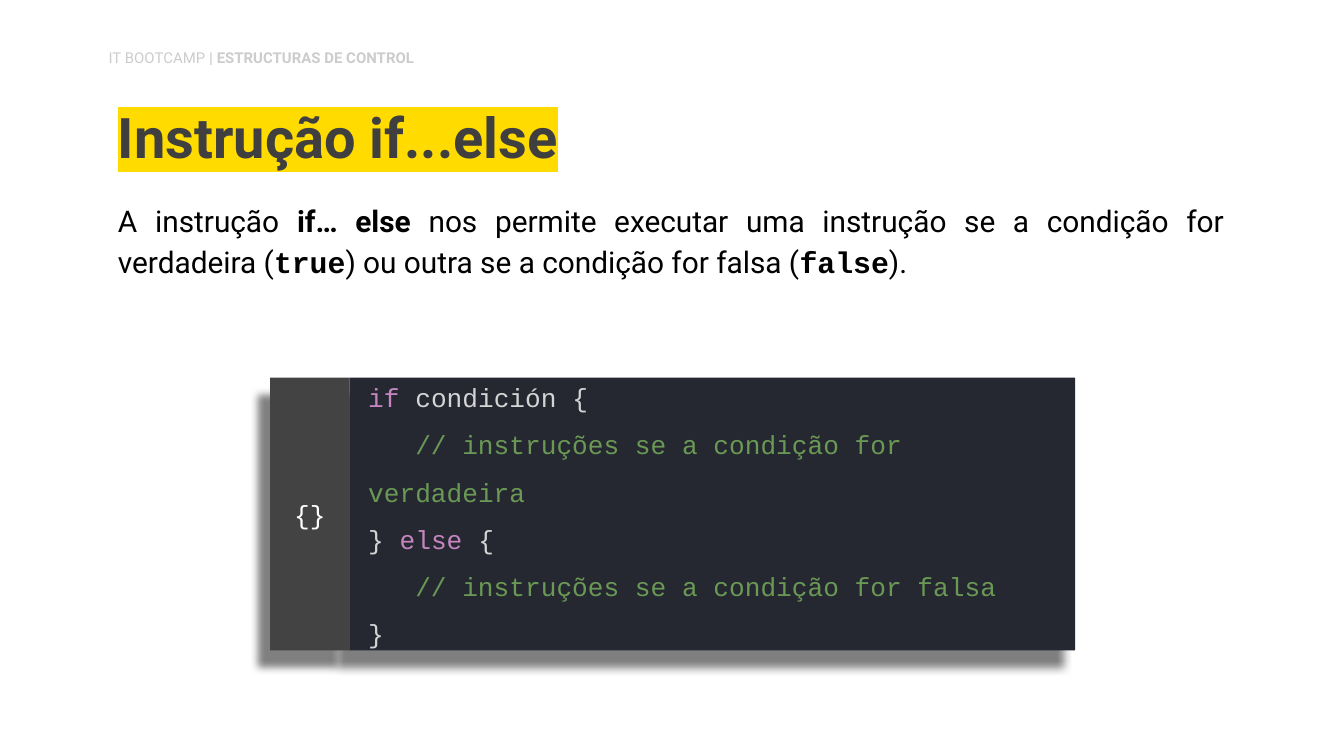
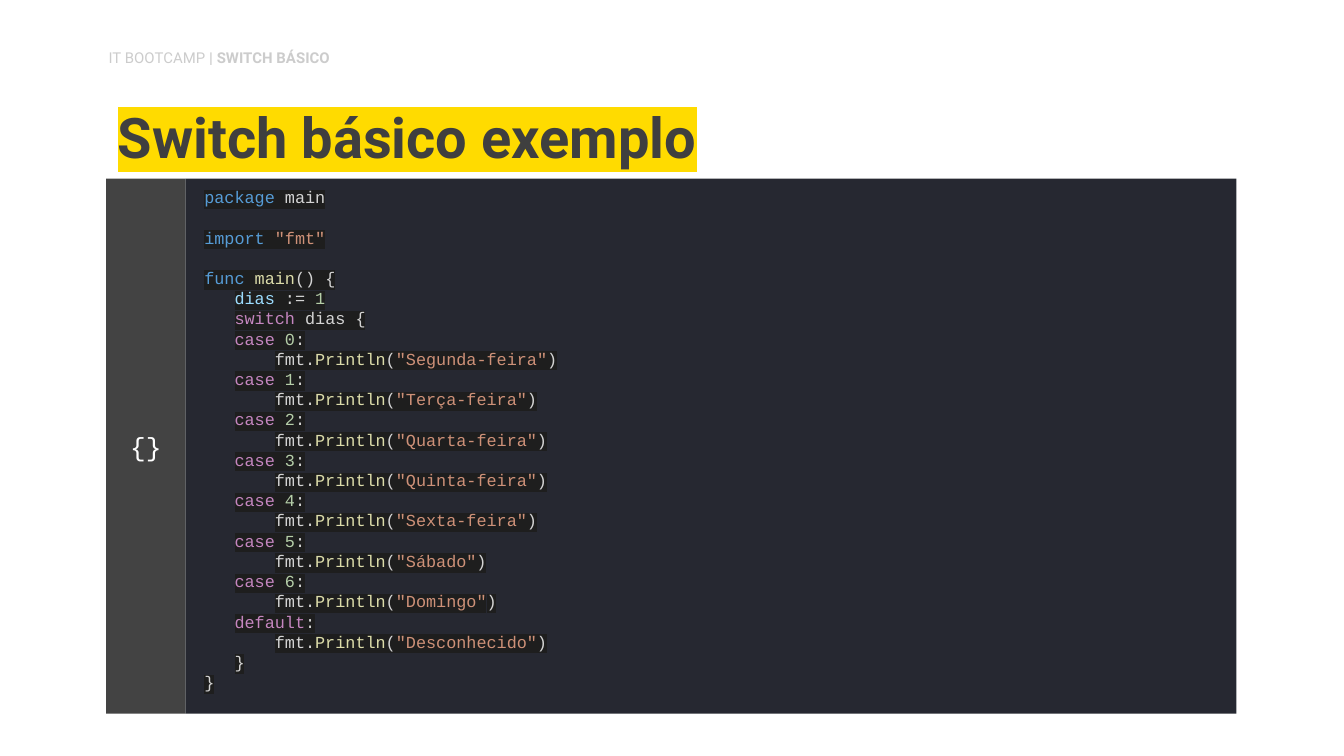
from dataclasses import dataclass

from lxml import etree
from pptx import Presentation
from pptx.dml.color import RGBColor
from pptx.enum.shapes import MSO_SHAPE
from pptx.enum.text import MSO_ANCHOR, PP_ALIGN
from pptx.oxml.ns import qn
from pptx.util import Inches, Pt

RECTANGLE = MSO_SHAPE.RECTANGLE
TOP, MIDDLE, BOTTOM = MSO_ANCHOR.TOP, MSO_ANCHOR.MIDDLE, MSO_ANCHOR.BOTTOM
LEFT, CENTER, JUSTIFY = PP_ALIGN.LEFT, PP_ALIGN.CENTER, PP_ALIGN.JUSTIFY

SLIDE_WIDTH = Inches(10)
SLIDE_HEIGHT = SLIDE_WIDTH * 9 // 16
SANS, MONO = "Roboto", "Courier New"
COLORS = {
    "header": "CCCCCC",
    "title": "3F3F3F",
    "title_band": "FFDB00",
    "body": "000000",
    "panel": "262831",
    "tab": "434343",
    "tab_text": "FFFFFF",
    "code_band": "1E1E1E",
    "shadow": "000000",
    "plain": "D4D4D4",
    "control": "C586C0",
    "comment": "6A9955",
    "keyword": "569CD6",
    "string": "CE9178",
    "function": "DCDCAA",
    "variable": "9CDCFE",
    "number": "B5CEA8",
}
TAB_WIDTH = 0.59
CHARACTER_RATIO = 0.6  # advance width of the code font, in ems
LINE_RATIO = 1.2  # height of a single code line, in ems
WEEKDAYS = (
    "Segunda-feira", "Terça-feira", "Quarta-feira", "Quinta-feira",
    "Sexta-feira", "Sábado", "Domingo",
)


@dataclass(frozen=True)
class Box:
    left: float
    top: float
    width: float
    height: float

    def lengths(self) -> list[Inches]:
        return [Inches(v) for v in (self.left, self.top, self.width, self.height)]


@dataclass(frozen=True)
class CodeLine:
    """Tokens are (text, colour name) pairs; indent counts characters."""
    tokens: tuple
    indent: int = 0
    gap_lines: int = 0


@dataclass(frozen=True)
class CodePanel:
    box: Box
    lines: list
    size: float
    line_spacing: float = 1.0
    highlight: str | None = None
    shadow: bool = False


def write_run(paragraph, text: str, *, size: float, color: str, font: str = SANS,
              bold: bool = False, highlight: str | None = None) -> None:
    run = paragraph.add_run()
    run.text = text
    run.font.size = Pt(size)
    run.font.name = font
    run.font.bold = bold
    run.font.color.rgb = RGBColor.from_string(COLORS[color])
    if highlight:
        band = etree.Element(qn("a:highlight"))
        etree.SubElement(band, qn("a:srgbClr"), val=COLORS[highlight])
        run.font._element.find(qn("a:solidFill")).addnext(band)


def prepare_frame(shape, anchor, insets=(0.1, 0.1, 0.1, 0.1)):
    frame = shape.text_frame
    frame.word_wrap = True
    frame.vertical_anchor = anchor
    (frame.margin_left, frame.margin_top,
     frame.margin_right, frame.margin_bottom) = map(Inches, insets)
    return frame


def add_text_box(slide, box: Box, anchor=TOP, insets=(0.1, 0.1, 0.1, 0.1)):
    """Add a text box and return its first paragraph."""
    shape = slide.shapes.add_textbox(*box.lengths())
    return prepare_frame(shape, anchor, insets).paragraphs[0]


def add_rectangle(shapes, box: Box, color: str, shadow: bool):
    shape = shapes.add_shape(RECTANGLE, *box.lengths())
    shape.fill.solid()
    shape.fill.fore_color.rgb = RGBColor.from_string(COLORS[color])
    shape.line.fill.background()
    shape.shadow.inherit = False
    if shadow:
        effects = shape._element.spPr.find(qn("a:effectLst"))
        outer = etree.SubElement(
            effects, qn("a:outerShdw"), blurRad=str(Pt(4.5)), dist=str(Pt(11.2)),
            dir=str(125 * 60000), algn="bl", rotWithShape="0")
        tint = etree.SubElement(outer, qn("a:srgbClr"), val=COLORS["shadow"])
        etree.SubElement(tint, qn("a:alpha"), val="50000")
    return shape


def add_header_and_title(slide, section: str, title: str) -> None:
    heading = add_text_box(slide, Box(0.78, 0.68, 8.43, 0.69), BOTTOM)
    heading.line_spacing = 0.9
    write_run(heading, title, size=30, color="title", bold=True,
              highlight="title_band")

    header = add_text_box(slide, Box(0.71, 0.31, 3.14, 0.27),
                          insets=(0.1, 0.05, 0.1, 0.05))
    header.space_after = Pt(12)
    write_run(header, "IT BOOTCAMP", size=8, color="header")
    write_run(header, f" | {section}", size=8, color="header", bold=True)


def add_code_panel(slide, panel: CodePanel) -> None:
    group = slide.shapes.add_group_shape()
    box = panel.box
    code_box = Box(box.left + TAB_WIDTH, box.top, box.width - TAB_WIDTH, box.height)
    code = add_rectangle(group.shapes, code_box, "panel", panel.shadow)
    frame = prepare_frame(code, MIDDLE, (0.14, 0, 0.1, 0.1))
    for index, line in enumerate(panel.lines):
        paragraph = frame.add_paragraph() if index else frame.paragraphs[0]
        paragraph.alignment = LEFT
        paragraph.line_spacing = panel.line_spacing
        if line.gap_lines:
            paragraph.space_before = Pt(line.gap_lines * panel.size * LINE_RATIO)
        if line.indent:
            properties = paragraph._p.get_or_add_pPr()
            properties.set("marL", "0")
            properties.set("indent", str(Pt(line.indent * panel.size * CHARACTER_RATIO)))
        for text, color in line.tokens:
            write_run(paragraph, text, size=panel.size, color=color, font=MONO,
                      highlight=panel.highlight)

    tab_box = Box(box.left, box.top, TAB_WIDTH, box.height)
    tab = add_rectangle(group.shapes, tab_box, "tab", panel.shadow)
    label = prepare_frame(tab, MIDDLE).paragraphs[0]
    label.alignment = CENTER
    write_run(label, "{}", size=14, color="tab_text", font=MONO)


def print_line(text: str) -> CodeLine:
    return CodeLine((("fmt.", "plain"), ("Println", "function"), ("(", "plain"),
                     (f'"{text}"', "string"), (")", "plain")), indent=7)


def switch_code() -> list[CodeLine]:
    lines = [
        CodeLine((("package", "keyword"), (" main", "plain"))),
        CodeLine((("import", "keyword"), (" ", "plain"), ('"fmt"', "string")),
                 gap_lines=1),
        CodeLine((("func", "keyword"), (" ", "plain"), ("main", "function"),
                  ("() {", "plain")), gap_lines=1),
        CodeLine((("dias", "variable"), (" := ", "plain"), ("1", "number")), indent=3),
        CodeLine((("switch", "control"), (" dias {", "plain")), indent=3),
    ]
    for number, weekday in enumerate(WEEKDAYS):
        lines.append(CodeLine((("case", "control"), (" ", "plain"),
                               (str(number), "number"), (":", "plain")), indent=3))
        lines.append(print_line(weekday))
    return lines + [
        CodeLine((("default", "control"), (":", "plain")), indent=3),
        print_line("Desconhecido"),
        CodeLine((("}", "plain"),), indent=3),
        CodeLine((("}", "plain"),)),
    ]


def build_if_else_slide(slide) -> None:
    body = add_text_box(slide, Box(0.78, 1.37, 8.43, 1.08))
    body.alignment = JUSTIFY
    body.line_spacing = 1.15
    for text, font, bold in (
        ("A instrução ", SANS, False),
        ("if… else", SANS, True),
        (" nos permite executar uma instrução se a condição for verdadeira (",
         SANS, False),
        ("true", MONO, True),
        (") ou outra se a condição for falsa (", SANS, False),
        ("false", MONO, True),
        (").", SANS, False),
    ):
        write_run(body, text, size=16, color="body", font=font, bold=bold)

    add_header_and_title(slide, "ESTRUCTURAS DE CONTROL", "Instrução if...else")
    lines = [
        CodeLine((("if", "control"), (" condición {", "plain"))),
        CodeLine((("// instruções se a condição for verdadeira", "comment"),), indent=3),
        CodeLine((("} ", "plain"), ("else", "control"), (" {", "plain"))),
        CodeLine((("// instruções se a condição for falsa", "comment"),), indent=3),
        CodeLine((("}", "plain"),)),
    ]
    add_code_panel(slide, CodePanel(Box(2.01, 2.81, 5.99, 2.03), lines, size=14,
                                    line_spacing=1.5, shadow=True))


def build_switch_slide(slide) -> None:
    add_header_and_title(slide, "SWITCH BÁSICO", "Switch básico exemplo")
    add_code_panel(slide, CodePanel(Box(0.79, 1.33, 8.41, 3.98), switch_code(), size=9,
                                    highlight="code_band"))


def main() -> None:
    presentation = Presentation()
    presentation.slide_width = SLIDE_WIDTH
    presentation.slide_height = SLIDE_HEIGHT
    blank = presentation.slide_layouts[6]
    for build in (build_if_else_slide, build_switch_slide):
        build(presentation.slides.add_slide(blank))
    presentation.save("out.pptx")


if __name__ == "__main__":
    main()
